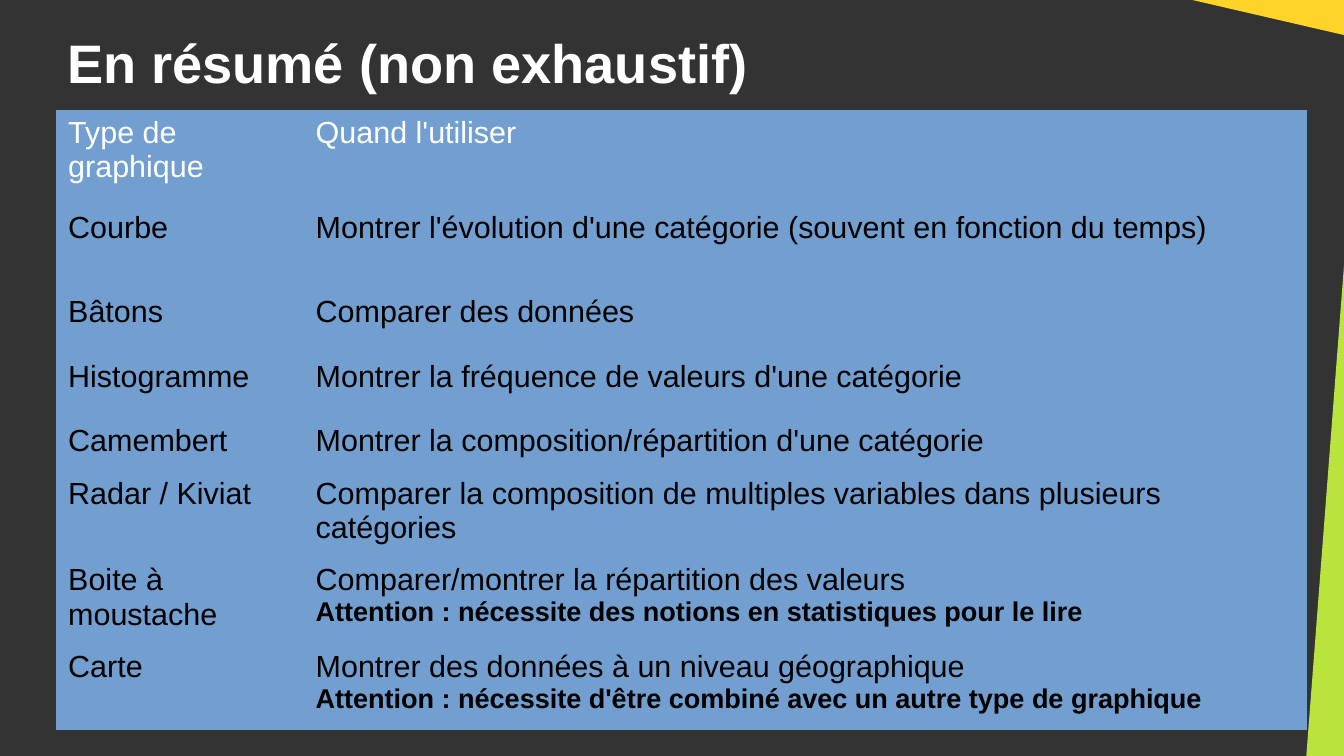
"""Build the summary slide on chart types and when to use them."""
from dataclasses import dataclass

from lxml.etree import SubElement
from pptx import Presentation
from pptx.dml.color import RGBColor
from pptx.enum.shapes import MSO_SHAPE as Preset
from pptx.enum.text import MSO_ANCHOR as Anchor, MSO_AUTO_SIZE as AutoSize, PP_ALIGN as Align
from pptx.oxml.ns import qn
from pptx.slide import Slide
from pptx.table import _Cell as Cell
from pptx.text.text import _Paragraph as Paragraph
from pptx.util import Inches, Length, Pt

SLIDE_WIDTH, SLIDE_HEIGHT = Inches(11.02), Inches(6.2)
CHARCOAL = RGBColor(0x33, 0x33, 0x33)
LIME = RGBColor(0xBB, 0xE3, 0x3D)
YELLOW = RGBColor(0xFF, 0xD4, 0x28)
BLUE = RGBColor(0x72, 0x9F, 0xCF)
WHITE = RGBColor(0xFF, 0xFF, 0xFF)
BLACK = RGBColor(0x00, 0x00, 0x00)

TITLE_FORMAT = {"name": "Arial", "size": Pt(32), "bold": True}
BODY_FORMAT = {"name": "Arial", "size": Pt(18), "bold": False}
WARNING_FORMAT = {"name": "Arial", "size": Pt(16), "bold": True}
TITLE_FRAME = {
    "margin_left": 0, "margin_top": 0, "margin_right": 0, "margin_bottom": 0,
    "word_wrap": True, "vertical_anchor": Anchor.MIDDLE, "auto_size": AutoSize.SHAPE_TO_FIT_TEXT,
}
CELL_FRAME = {
    "margin_left": Inches(0.1), "margin_top": Inches(0.05),
    "margin_right": Inches(0.1), "margin_bottom": Inches(0.05),
    "vertical_anchor": Anchor.TOP,
}


@dataclass(frozen=True)
class Area:
    """Place on the slide, in percent of its width and height."""
    left: float
    top: float
    width: float
    height: float

    def lengths(self) -> tuple[Length, Length, Length, Length]:
        """Return left, top, width and height as slide lengths."""
        return across(self.left), down(self.top), across(self.width), down(self.height)


@dataclass(frozen=True)
class Corner:
    """Coloured triangle at the edge of the slide."""
    area: Area
    rotation: int
    color: RGBColor


@dataclass(frozen=True)
class Usage:
    """Table row: a chart type, when to use it and a possible warning."""
    height: float
    chart_type: str
    purpose: str
    warning: str = ""


TITLE_AREA = Area(4.99, 4.03, 90.02, 8.23)
COLUMN_WIDTHS = (18.42, 74.68)
CORNERS = (
    Corner(Area(97.19, 30.97, 2.99, 69.19), 180, LIME),
    Corner(Area(91.74, -10.97, 3.36, 25.81), 90, YELLOW),
)
USAGES = (
    Usage(12.58, "Type de graphique", "Quand l'utiliser"),
    Usage(11.13, "Courbe", "Montrer l'évolution d'une catégorie (souvent en fonction du temps)"),
    Usage(8.55, "Bâtons", "Comparer des données"),
    Usage(8.55, "Histogramme", "Montrer la fréquence de valeurs d'une catégorie"),
    Usage(6.94, "Camembert", "Montrer la composition/répartition d'une catégorie"),
    Usage(11.45, "Radar / Kiviat",
          "Comparer la composition de multiples variables dans plusieurs catégories"),
    Usage(11.45, "Boite à moustache", "Comparer/montrer la répartition des valeurs",
          "Attention : nécessite des notions en statistiques pour le lire"),
    Usage(11.45, "Carte", "Montrer des données à un niveau géographique",
          "Attention : nécessite d'être combiné avec un autre type de graphique"),
)
TABLE_AREA = Area(4.17, 14.52, sum(COLUMN_WIDTHS), sum(usage.height for usage in USAGES))


def across(percent: float) -> Length:
    """Turn a percentage of the slide's width into a length."""
    return Length(round(SLIDE_WIDTH * percent / 100))


def down(percent: float) -> Length:
    """Turn a percentage of the slide's height into a length."""
    return Length(round(SLIDE_HEIGHT * percent / 100))


def apply(target: object, values: dict) -> None:
    """Set each attribute of the target from the format values."""
    for attribute, value in values.items():
        setattr(target, attribute, value)


def write(paragraph: Paragraph, wording: str, values: dict, color: RGBColor) -> None:
    """Write left-aligned wording as one formatted run."""
    paragraph.alignment = Align.LEFT
    run = paragraph.add_run()
    run.text = wording
    apply(run.font, values)
    run.font.color.rgb = color


def draw_title(slide: Slide, wording: str) -> None:
    """Place and fill the title placeholder."""
    title = slide.shapes.title
    title.left, title.top, title.width, title.height = TITLE_AREA.lengths()
    apply(title.text_frame, TITLE_FRAME)
    write(title.text_frame.paragraphs[0], wording, TITLE_FORMAT, WHITE)


def draw_corner(slide: Slide, corner: Corner) -> None:
    """Draw a flipped and turned right triangle."""
    triangle = slide.shapes.add_shape(Preset.RIGHT_TRIANGLE, *corner.area.lengths())
    triangle.rotation = corner.rotation
    triangle._element.spPr.find(qn("a:xfrm")).set("flipV", "1")
    triangle.shadow.inherit = False
    triangle.fill.solid()
    triangle.fill.fore_color.rgb = corner.color
    triangle.line.fill.background()


def fill_cell(cell: Cell, wording: str, warning: str, color: RGBColor) -> None:
    """Format a borderless cell and write its wording and warning."""
    properties = cell._tc.get_or_add_tcPr()
    for side in ("a:lnL", "a:lnR", "a:lnT", "a:lnB"):
        SubElement(SubElement(properties, qn(side), w="0"), qn("a:noFill"))
    cell.fill.solid()
    cell.fill.fore_color.rgb = BLUE
    apply(cell, CELL_FRAME)
    write(cell.text_frame.paragraphs[0], wording, BODY_FORMAT, color)
    if warning:
        write(cell.text_frame.add_paragraph(), warning, WARNING_FORMAT, color)


def draw_table(slide: Slide) -> None:
    """Draw the table of chart types and their uses."""
    table = slide.shapes.add_table(len(USAGES), len(COLUMN_WIDTHS), *TABLE_AREA.lengths()).table
    table.horz_banding = False
    for column, width in zip(table.columns, COLUMN_WIDTHS):
        column.width = across(width)
    for index, (row, usage) in enumerate(zip(table.rows, USAGES)):
        row.height = down(usage.height)
        color = BLACK if index else WHITE
        fill_cell(row.cells[0], usage.chart_type, "", color)
        fill_cell(row.cells[1], usage.purpose, usage.warning, color)


def main() -> None:
    """Build and save the presentation."""
    presentation = Presentation()
    presentation.slide_width, presentation.slide_height = SLIDE_WIDTH, SLIDE_HEIGHT
    slide = presentation.slides.add_slide(presentation.slide_layouts.get_by_name("Title Only"))
    slide.background.fill.solid()
    slide.background.fill.fore_color.rgb = CHARCOAL
    lime_corner, yellow_corner = CORNERS
    draw_corner(slide, lime_corner)
    draw_title(slide, "En résumé (non exhaustif)")
    draw_table(slide)
    draw_corner(slide, yellow_corner)
    presentation.save("out.pptx")


if __name__ == "__main__":
    main()
